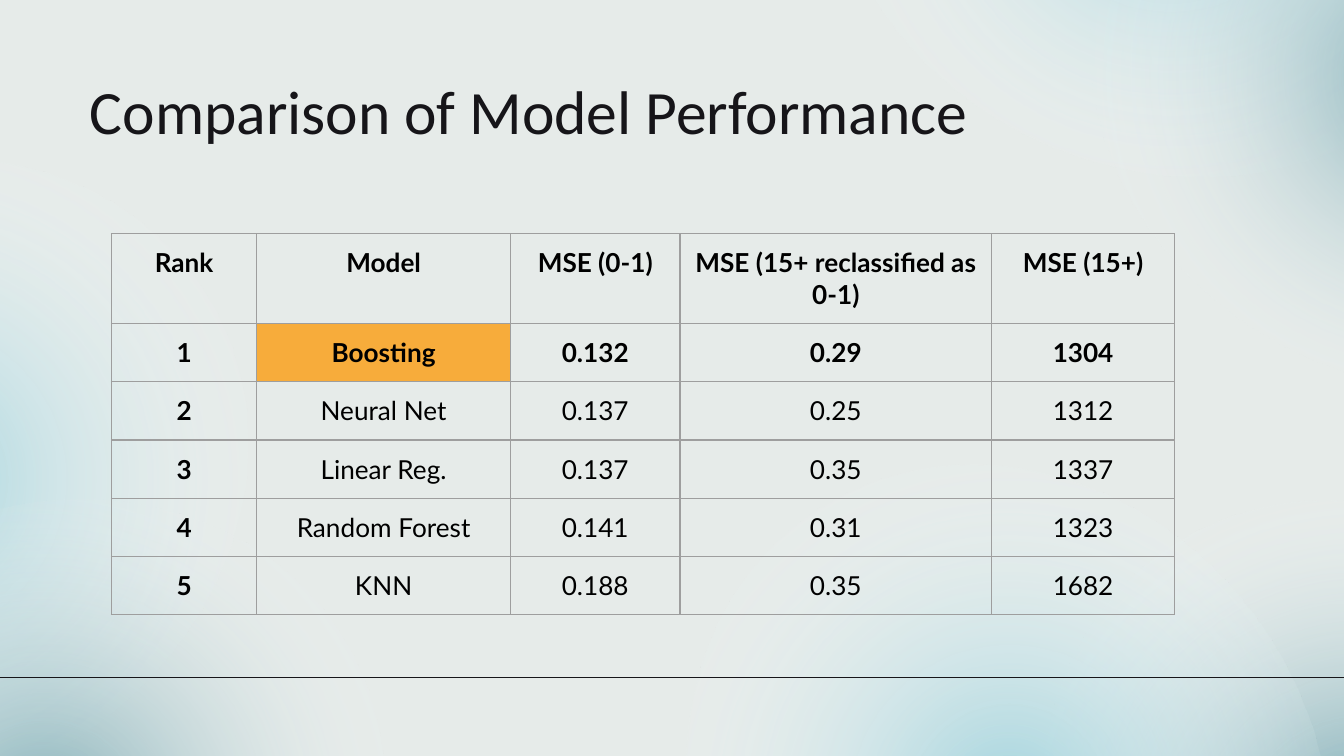
from lxml import etree
from pptx import Presentation
from pptx.dml.color import RGBColor
from pptx.enum.shapes import MSO_CONNECTOR, MSO_SHAPE
from pptx.enum.text import MSO_ANCHOR, PP_ALIGN
from pptx.oxml import parse_xml
from pptx.oxml.ns import qn
from pptx.util import Inches, Pt

OVAL = MSO_SHAPE.OVAL
STRAIGHT = MSO_CONNECTOR.STRAIGHT
TOP, MIDDLE = MSO_ANCHOR.TOP, MSO_ANCHOR.MIDDLE
LEFT, CENTER = PP_ALIGN.LEFT, PP_ALIGN.CENTER

W = 10
H = W * 9 / 16
INK, BACK, GRID, ACCENT = "161519", "E6EBE9", "9E9E9E", "F7AC3B"
TEAL, AQUA = "4E909E", "80C8D8"
NS = 'xmlns:a="http://schemas.openxmlformats.org/drawingml/2006/main"'

GLOW_SIZE = (5.22, 4.6)
GLOWS = [
    (7.53, 3.95, 237.1, TEAL, 81),
    (4.89, 3.68, 237.1, AQUA, 68),
    (6.1, -3.33, 202, AQUA, 68),
    (8.07, -1.74, 202, TEAL, 68),
    (-3.3, 1.26, 149, AQUA, 68),
    (-2.29, 3.8, 149, TEAL, 68),
]

COLUMNS = [1.08, 1.89, 1.26, 2.32, 1.36]
ROW_HEIGHT = 0.42
ROWS = [
    ["Rank", "Model", "MSE (0-1)", "MSE (15+ reclassified as 0-1)", "MSE (15+)"],
    ["1", "Boosting", "0.132", "0.29", "1304"],
    ["2", "Neural Net", "0.137", "0.25", "1312"],
    ["3", "Linear Reg.", "0.137", "0.35", "1337"],
    ["4", "Random Forest", "0.141", "0.31", "1323"],
    ["5", "KNN", "0.188", "0.35", "1682"],
]


def rgb(color):
    return RGBColor.from_string(color)


def inches(*values):
    return [Inches(v) for v in values]


def write(tf, text, size=14, font="Lato", color="000000", bold=False,
          align=CENTER):
    p = tf.paragraphs[0]
    p.alignment = align
    r = p.add_run()
    r.text = text
    r.font.size = Pt(size)
    r.font.name = font
    r.font.bold = bold
    r.font.color.rgb = rgb(color)


def set_margins(item):
    item.margin_left = item.margin_right = Inches(0.1)
    item.margin_top = item.margin_bottom = Inches(0.1)


def add_glow(s, box, angle, color, alpha):
    sp = s.shapes.add_shape(OVAL, *inches(*box))
    sp.rotation = angle
    sp.shadow.inherit = False
    sp.line.fill.background()
    sp.fill.background()
    stops = [(0, color, alpha), (58, "FFFFFF", 0), (100, "FFFFFF", 0)]
    stop_xml = "".join(
        f'<a:gs pos="{pos * 1000}"><a:srgbClr val="{c}">'
        f'<a:alpha val="{a * 1000}"/></a:srgbClr></a:gs>'
        for pos, c, a in stops)
    gradient = parse_xml(
        f'<a:gradFill {NS} rotWithShape="1"><a:gsLst>{stop_xml}</a:gsLst>'
        '<a:path path="circle"><a:fillToRect l="50000" t="50000" '
        'r="50000" b="50000"/></a:path></a:gradFill>')
    spPr = sp._element.spPr
    spPr.replace(spPr.find(qn("a:noFill")), gradient)


def add_backdrop(s, box):
    x, y, w, h = box
    s.background.fill.solid()
    s.background.fill.fore_color.rgb = rgb(BACK)
    for left, top, angle, color, alpha in GLOWS:
        add_glow(s, (x + left, y + top, *GLOW_SIZE), angle, color, alpha)
    rule_y = y + h * 0.896
    rule = s.shapes.add_connector(
        STRAIGHT, *inches(x + w * 1.006, rule_y, x - w * 0.005, rule_y))
    rule.line.color.rgb = rgb(INK)
    rule.line.width = Pt(0.75)
    etree.SubElement(rule._element.spPr, qn("a:effectLst"))


def add_title(s, box, text):
    tf = s.shapes.add_textbox(*inches(*box)).text_frame
    tf.word_wrap = True
    tf.vertical_anchor = MIDDLE
    set_margins(tf)
    write(tf, text, size=33, font="Calibri", color=INK, align=LEFT)


def add_borders(cell):
    tcPr = cell._tc.get_or_add_tcPr()
    for i, side in enumerate("LRTB"):
        tcPr.insert(i, parse_xml(
            f'<a:ln{side} {NS} w="{Pt(0.75)}"><a:solidFill>'
            f'<a:srgbClr val="{GRID}"/></a:solidFill></a:ln{side}>'))


def add_ranking(s, box):
    table = s.shapes.add_table(
        len(ROWS), len(COLUMNS), *inches(*box)).table
    table.first_row = table.horz_banding = False
    for column, width in zip(table.columns, COLUMNS):
        column.width = Inches(width)
    for i, values in enumerate(ROWS):
        table.rows[i].height = Inches(ROW_HEIGHT)
        for j, value in enumerate(values):
            cell = table.cell(i, j)
            cell.vertical_anchor = TOP
            set_margins(cell)
            write(cell.text_frame, value, bold=i < 2 or j == 0)
            if value == "Boosting":
                cell.fill.solid()
                cell.fill.fore_color.rgb = rgb(ACCENT)
            else:
                cell.fill.background()
            add_borders(cell)


def main():
    prs = Presentation()
    prs.slide_width, prs.slide_height = inches(W, H)
    s = prs.slides.add_slide(prs.slide_layouts[6])
    add_backdrop(s, (0, 0, W, H))
    add_title(s, (W * 0.057, H * 0.09, W * 0.844, H * 0.112),
              "Comparison of Model Performance")
    add_ranking(s, (W * 0.083, H * 0.309, sum(COLUMNS),
                    ROW_HEIGHT * len(ROWS)))
    prs.save("out.pptx")


if __name__ == "__main__":
    main()
